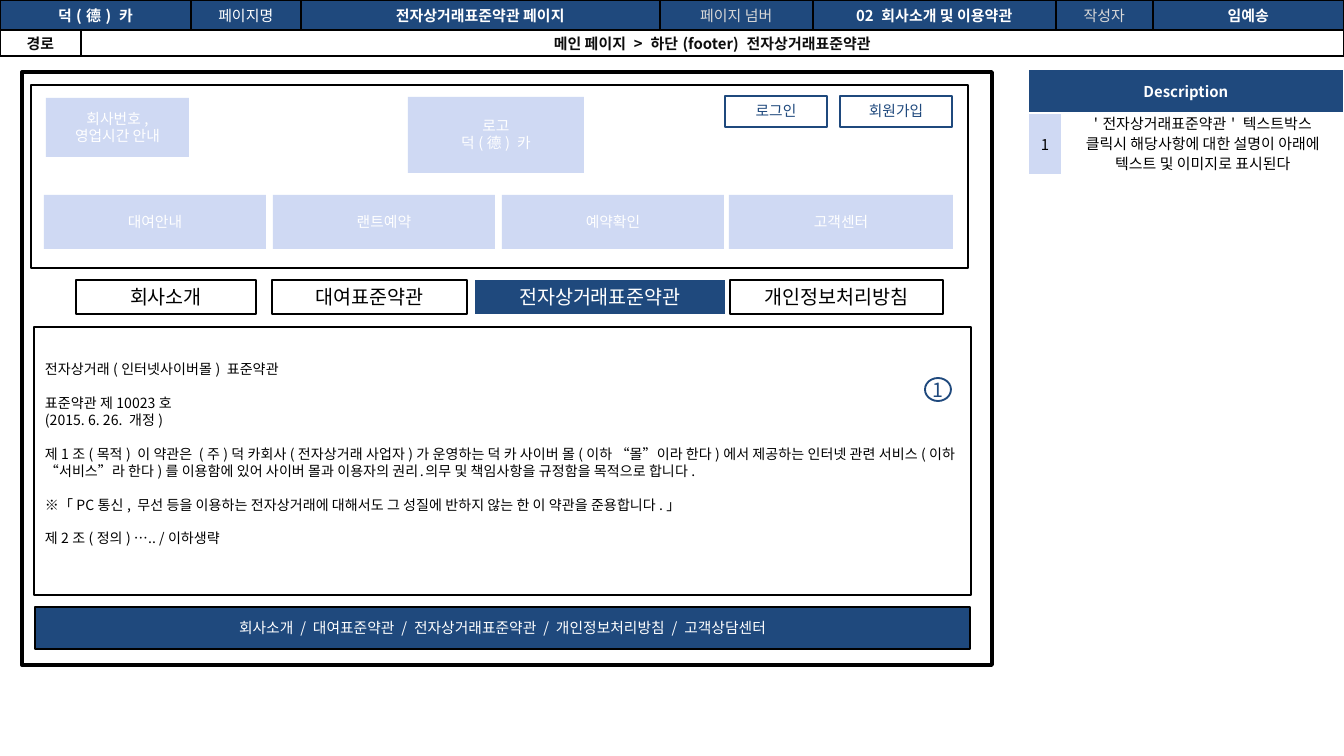
"""Build the storyboard slide for the e-commerce terms page."""
from dataclasses import dataclass

from lxml import etree
from pptx import Presentation
from pptx import util as u
from pptx.dml.color import RGBColor
from pptx.enum import shapes, text
from pptx.oxml.ns import qn

BOX = shapes.MSO_SHAPE.RECTANGLE
OVAL = shapes.MSO_SHAPE.OVAL
MID = text.PP_ALIGN.CENTER
LEFT = text.PP_ALIGN.LEFT


@dataclass(frozen=True)
class Theme:
    """Hold the colours, fonts, type sizes and line pitches."""
    navy: str = "1F497D"
    pale: str = "CFD9F3"
    white: str = "FFFFFF"
    black: str = "000000"
    grey: str = "D8D8D8"
    ink: str = "0D0D0D"
    font: str = "Noto Sans CJK KR"
    alt: str = "Arial"
    label: float = 7.9
    tab: float = 10.5
    body: float = 7.5
    cell: float = 8
    lead: float = 9.1
    note: float = 10.7


T = Theme()

TERMS = [
    (0, ["전자상거래(인터넷사이버몰) 표준약관"]),
    (1, ["표준약관 제10023호"]),
    (0, ["(2015. 6. 26. 개정)"]),
    (1, ["제1조(목적) 이 약관은 (주)덕 카회사(전자상거래 사업자)가 운영하는 덕 카 사이버 몰"
         "(이하 “몰”이라 한다)에서 제공하는 인터넷 관련 서비스(이하 “서비스”라 한다)를 "
         "이용함에 있어 사이버 몰과 이용자의 권리",
         "․", "의무 및 책임사항을 규정함을 목적으로 합니다."]),
    (1, ["※「PC통신, 무선 등을 이용하는 전자상거래에 대해서도 그 성질에 반하지 않는 한 "
         "이 약관을 준용합니다.」"]),
    (1, ["제2조(정의) ….. /이하생략"]),
]


def px(n):
    """Turn pixels into EMU."""
    return u.Emu(round(n * 914400 / 134.4))


def rgb(hue):
    """Turn a hex string into a colour."""
    return RGBColor.from_string(hue)


def paint(fill, hue):
    """Set a solid fill, or none."""
    if hue:
        fill.solid()
        fill.fore_color.rgb = rgb(hue)
    else:
        fill.background()


def add_run(para, words, size, hue, bold=False, face=T.font):
    """Add one formatted run."""
    run = para.add_run()
    run.text = words
    font = run.font
    font.size, font.bold, font.name = u.Pt(size), bold, face
    font.color.rgb = rgb(hue)
    etree.SubElement(font._element, qn("a:ea"), typeface=face)


def pad(item, side, edge):
    """Set the inner margins of a frame or cell."""
    item.margin_left = item.margin_right = px(side)
    item.margin_top = item.margin_bottom = px(edge)


def add_box(slide, area, fill=None, line=None, width=1, words="", size=T.label,
            hue=T.white, kind=BOX, side=9):
    """Add a preset shape with centred text lines."""
    box = slide.shapes.add_shape(kind, *map(px, area))
    box.shadow.inherit = False
    paint(box.fill, fill)
    paint(box.line.fill, line)
    if line:
        box.line.width = u.Pt(width)
    if not words:
        return
    frame = box.text_frame
    frame.word_wrap = side > 0
    frame.vertical_anchor = text.MSO_ANCHOR.MIDDLE
    pad(frame, side, 0)
    for i, row in enumerate(words.split("\n")):
        para = frame.add_paragraph() if i else frame.paragraphs[0]
        para.alignment = MID
        if size == T.label:
            para.line_spacing = u.Pt(T.lead)
        add_run(para, row, size, hue)


def add_terms(slide, area):
    """Add the text of the terms."""
    frame = slide.shapes.add_textbox(*map(px, area)).text_frame
    frame.word_wrap = True
    pad(frame, 10, 4)
    for i, (gap, parts) in enumerate(TERMS):
        para = frame.add_paragraph() if i else frame.paragraphs[0]
        para.alignment = LEFT
        para.line_spacing = u.Pt(T.lead)
        para.space_before = u.Pt(gap * T.lead)
        for part in parts:
            add_run(para, part, T.body, T.black, face=T.alt if part == "․" else T.font)


def add_grid(slide, area, cols, rows):
    """Add a plain table with fixed columns and rows."""
    grid = slide.shapes.add_table(len(rows), len(cols), *map(px, area)).table
    grid.first_row = grid.horz_banding = False
    for col, wide in zip(grid.columns, cols):
        col.width = px(wide)
    for row, high in zip(grid.rows, rows):
        row.height = px(high)
    for cell in grid.iter_cells():
        paint(cell.fill, None)
    return grid


def set_cell(cell, words, fill, hue, bold, side, edge, lead=None):
    """Fill a cell with centred text."""
    pad(cell, side, edge)
    cell.vertical_anchor = text.MSO_ANCHOR.MIDDLE
    paint(cell.fill, fill)
    para = cell.text_frame.paragraphs[0]
    para.alignment = MID
    if lead:
        para.line_spacing = u.Pt(lead)
    add_run(para, words, T.cell, hue, bold)


def edge_cell(cell):
    """Draw black borders around a cell."""
    props = cell._tc.get_or_add_tcPr()
    for i, tag in enumerate(("a:lnL", "a:lnR", "a:lnT", "a:lnB")):
        line = etree.Element(qn(tag), w=str(u.Pt(1)))
        fill = etree.SubElement(line, qn("a:solidFill"))
        etree.SubElement(fill, qn("a:srgbClr"), val=T.black)
        props.insert(i, line)


def add_head(slide):
    """Add the page details and the route."""
    cols = [81, 110, 110, 359, 153, 243, 97, 191]
    grid = add_grid(slide, (0, 0, 1344, 56), cols, [30, 26])
    grid.cell(0, 0).merge(grid.cell(0, 1))
    grid.cell(1, 1).merge(grid.cell(1, 7))
    heads = [
        (0, "덕(德) 카", T.white, True),
        (2, "페이지명", T.white, False),
        (3, "전자상거래표준약관 페이지", T.white, True),
        (4, "페이지 넘버", T.grey, False),
        (5, "02 회사소개 및 이용약관", T.white, True),
        (6, "작성자", T.grey, False),
        (7, "임예송", T.white, True),
    ]
    for col, words, hue, bold in heads:
        set_cell(grid.cell(0, col), words, T.navy, hue, bold, 7, 2)
    for col, words in enumerate(("경로", "메인 페이지 > 하단(footer) 전자상거래표준약관")):
        set_cell(grid.cell(1, col), words, None, T.ink, True, 7, 2)
    for cell in grid.iter_cells():
        edge_cell(cell)


def add_notes(slide):
    """Add the description table."""
    grid = add_grid(slide, (1028, 69, 316, 106), [34, 282], [44, 62])
    grid.cell(0, 0).merge(grid.cell(0, 1))
    set_cell(grid.cell(0, 0), "Description", T.navy, T.white, True, 11, 4)
    set_cell(grid.cell(1, 0), "1", T.pale, T.black, False, 11, 4)
    words = "'전자상거래표준약관' 텍스트박스 클릭시 해당사항에 대한 설명이 아래에 텍스트 및 이미지로 표시된다"
    set_cell(grid.cell(1, 1), words, T.white, T.black, False, 11, 0, T.note)


def add_top(slide):
    """Add the site header with its menu."""
    add_box(slide, (31, 85, 937, 183), line=T.black)
    blocks = [
        (46, 98, 143, 59, "회사번호,\n영업시간 안내"),
        (408, 97, 176, 76, "로고\n덕(德) 카"),
        (44, 195, 222, 54, "대여안내"),
        (273, 195, 222, 54, "랜트예약"),
        (502, 195, 222, 54, "예약확인"),
        (729, 195, 224, 54, "고객센터"),
    ]
    for *area, words in blocks:
        add_box(slide, area, T.pale, words=words)
    for left, wide, words in ((725, 102, "로그인"), (840, 112, "회원가입")):
        add_box(slide, (left, 96, wide, 31), line=T.navy, words=words, hue=T.navy)


def add_tabs(slide):
    """Add the row of tabs, one of them active."""
    tabs = [(76, 180, "회사소개"), (272, 195, "대여표준약관"),
            (475, 250, "전자상거래표준약관"), (730, 213, "개인정보처리방침")]
    for i, (left, wide, words) in enumerate(tabs):
        live = i == 2
        add_box(slide, (left, 280, wide, 34), T.navy if live else T.white,
                None if live else T.black, words=words, size=T.tab,
                hue=T.white if live else T.black)


def main():
    """Build and save the slide."""
    deck = Presentation()
    deck.slide_width, deck.slide_height = px(1344), px(756)
    slide = deck.slides.add_slide(deck.slide_layouts[6])
    add_box(slide, (22, 72, 970, 593), line=T.black, width=2)
    add_top(slide)
    add_box(slide, (35, 607, 935, 42), T.navy, T.black,
            words="회사소개 / 대여표준약관 / 전자상거래표준약관 / 개인정보처리방침 / 고객상담센터")
    add_tabs(slide)
    add_terms(slide, (35, 356, 937, 218))
    add_head(slide)
    add_notes(slide)
    add_box(slide, (925, 378, 26, 23), T.white, T.navy, words="1", size=T.tab,
            hue=T.navy, kind=OVAL, side=0)
    add_box(slide, (34, 327, 937, 268), line=T.black)
    deck.save("out.pptx")


if __name__ == "__main__":
    main()
